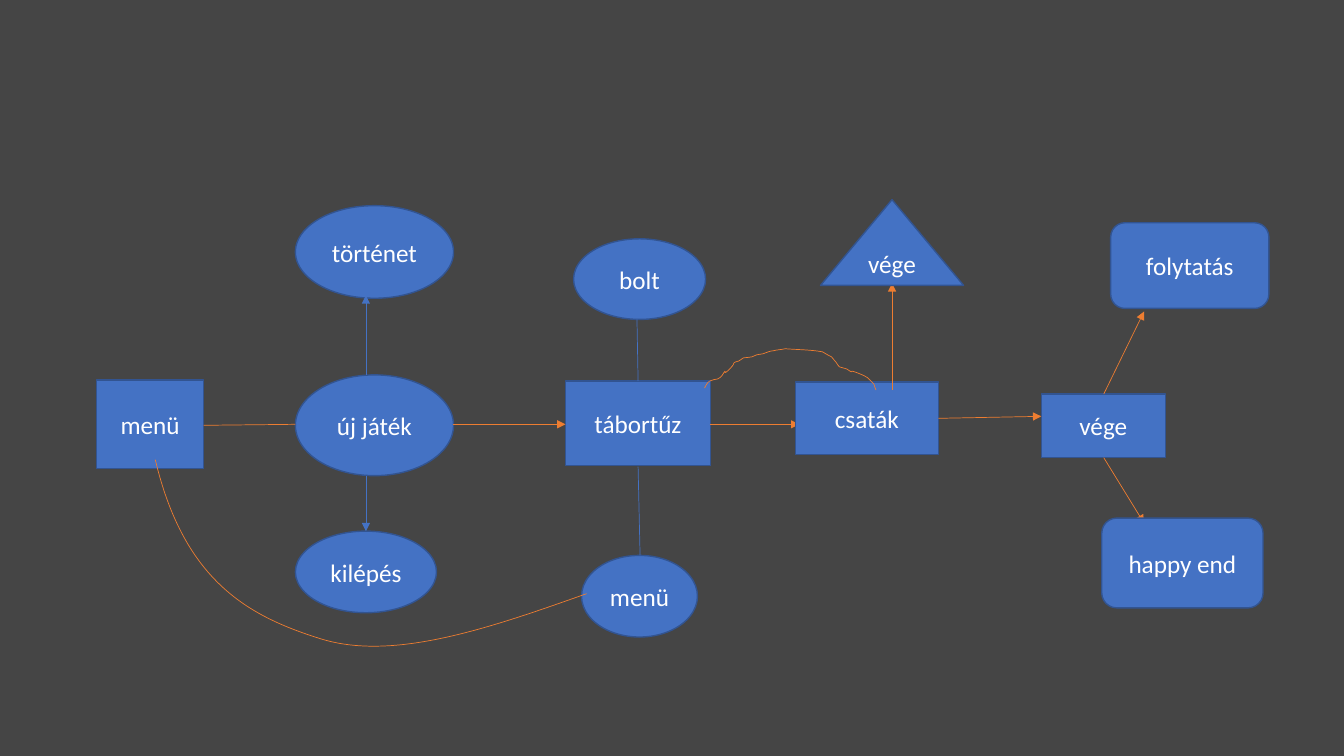
from lxml.etree import SubElement
from pptx import Presentation
from pptx.dml.color import RGBColor
from pptx.enum.shapes import MSO_CONNECTOR, MSO_SHAPE as Kind
from pptx.enum.text import MSO_ANCHOR, PP_ALIGN
from pptx.oxml.ns import qn
from pptx.util import Pt

BACKDROP, BLUE, EDGE, ORANGE, WHITE = "454545", "4472C4", "325491", "ED7D31", "FFFFFF"
BOX, OVAL, ROUNDED, PEAK = Kind.RECTANGLE, Kind.OVAL, Kind.ROUNDED_RECTANGLE, Kind.ISOSCELES_TRIANGLE

START_NODES = [
    ("menü", BOX, 69.1, 271.4, 76.3, 63.4),
    ("új játék", OVAL, 211, 267.8, 113, 72),
    ("történet", OVAL, 211, 146.9, 113, 66.2),
    ("kilépés", OVAL, 211, 379.4, 100.8, 58.3),
    ("tábortűz", BOX, 403.9, 272.2, 103.7, 60.5),
    ("bolt", OVAL, 409.7, 170.6, 94.3, 57.6),
    ("menü", OVAL, 415.4, 396.7, 82.8, 58.3),
]
START_LINKS = [
    (145.4, 303.8, 211, 303.1, ORANGE, False),
    (323.3, 303.1, 403.9, 303.1, ORANGE, True),
    (261.4, 339.8, 261.4, 379.4, BLUE, True),
    (261.4, 267.8, 261.4, 211, BLUE, True),
    (506.9, 303.1, 571, 303.1, ORANGE, True),
    (455, 228.2, 455.8, 272.2, BLUE, False),
    (455.8, 333.4, 457.2, 396.7, BLUE, False),
]
BATTLE_NODES = [
    ("csaták", BOX, 568.1, 272.9, 102.2, 51.8),
    ("vége", BOX, 743.8, 281.5, 88.6, 45.4),
]
BATTLE_LINKS = [
    (670.3, 298.8, 743.8, 297.4, ORANGE, True),
    (788.4, 281.5, 817.2, 222.5, ORANGE, True),
    (788.4, 326.9, 817.2, 373.7, ORANGE, True),
    (637.2, 278.6, 637.2, 202.3, ORANGE, True),
]
ENDING_NODES = [
    ("happy end", ROUNDED, 787, 370.1, 115.2, 64.1),
    ("folytatás", ROUNDED, 793.4, 159.1, 113, 61.2),
    ("vége", PEAK, 586.1, 142.6, 102.2, 61.2),
]
MENU_RETURN = [
    (419, 424.1),
    (349.9, 448.6), (281.5, 472.3), (229.7, 456.5),
    (178.6, 440.6), (131.8, 416.2), (110.9, 328.3),
]
CAMP_RETURN = [
    (503.3, 277.2),
    (504, 275.8), (505.4, 272.9), (506.9, 272.2),
    (509, 270.7), (511.2, 271.4), (512.6, 270.7),
    (514.1, 270), (514.8, 269.3), (515.5, 268.6),
    (521.3, 259.9), (514.1, 270.7), (521.3, 263.5),
    (527, 257.8), (521.3, 259.9), (527.8, 257.8),
    (533.5, 254.2), (528.5, 256.3), (537.1, 254.9),
    (538.6, 254.2), (539.3, 254.2), (540.7, 253.4),
    (542.2, 253.4), (543.6, 252.7), (545, 252.7),
    (547.2, 252), (550.1, 250.6), (552.2, 250.6),
    (555.1, 249.8), (558, 249.8), (560.9, 249.1),
    (570.2, 249.8), (578.9, 249.8), (587.5, 251.3),
    (589, 252), (589.7, 252.7), (591.1, 253.4),
    (591.8, 254.2), (593.3, 254.2), (594, 254.9),
    (595.4, 256.3), (596.2, 257.8), (597.6, 259.2),
    (598.3, 259.9), (598.3, 261.4), (599.8, 262.1),
    (601.2, 262.8), (603.4, 262.8), (604.8, 263.5),
    (612.7, 268.6), (603.4, 262.8), (612.7, 266.4),
    (621.4, 270), (619.2, 269.3), (624.2, 274.3),
    (625.7, 278.6),
]
LAYERS = [
    (START_NODES, START_LINKS, [MENU_RETURN]),
    (BATTLE_NODES, BATTLE_LINKS, [CAMP_RETURN]),
    (ENDING_NODES, [], []),
]


def paint(target, colour):
    target.solid()
    target.fore_color.rgb = RGBColor.from_string(colour)


def stroke(line, colour, width):
    paint(line.fill, colour)
    line.width = Pt(width)


def add_node(shapes, label, kind, *frame):
    node = shapes.add_shape(kind, *map(Pt, frame))
    node.shadow.inherit = False
    paint(node.fill, BLUE)
    stroke(node.line, EDGE, 1)
    node.text_frame.vertical_anchor = MSO_ANCHOR.MIDDLE
    caption = node.text_frame.paragraphs[0]
    caption.text = label
    caption.alignment = PP_ALIGN.CENTER
    caption.font.name = "Calibri"
    caption.font.size = Pt(18)
    paint(caption.font.fill, WHITE)


def add_link(shapes, x1, y1, x2, y2, colour, arrow):
    link = shapes.add_connector(MSO_CONNECTOR.STRAIGHT, *map(Pt, (x1, y1, x2, y2)))
    stroke(link.line, colour, 0.5)
    if arrow:
        SubElement(link.line._get_or_add_ln(), qn("a:tailEnd"), type="triangle")
    SubElement(link._element.spPr, qn("a:effectLst"))


def add_curve(shapes, points):
    start, *rest = [(Pt(x), Pt(y)) for x, y in points]
    builder = shapes.build_freeform(*start)
    builder.add_line_segments(rest, close=False)
    curve = builder.convert_to_shape()
    curve.shadow.inherit = False
    curve.fill.background()
    stroke(curve.line, ORANGE, 0.5)
    segments = list(curve._element.iter(qn("a:lnTo")))
    for i in range(0, len(segments) - 2, 3):
        bend, *others = segments[i:i + 3]
        bend.tag = qn("a:cubicBezTo")
        for other in others:
            bend.append(other[0])
            other.getparent().remove(other)


def main():
    deck = Presentation()
    deck.slide_width, deck.slide_height = Pt(960), Pt(540)
    slide = deck.slides.add_slide(deck.slide_layouts[6])
    paint(slide.background.fill, BACKDROP)
    for nodes, links, curves in LAYERS:
        for node in nodes:
            add_node(slide.shapes, *node)
        for link in links:
            add_link(slide.shapes, *link)
        for curve in curves:
            add_curve(slide.shapes, curve)
    deck.save("out.pptx")


if __name__ == "__main__":
    main()
